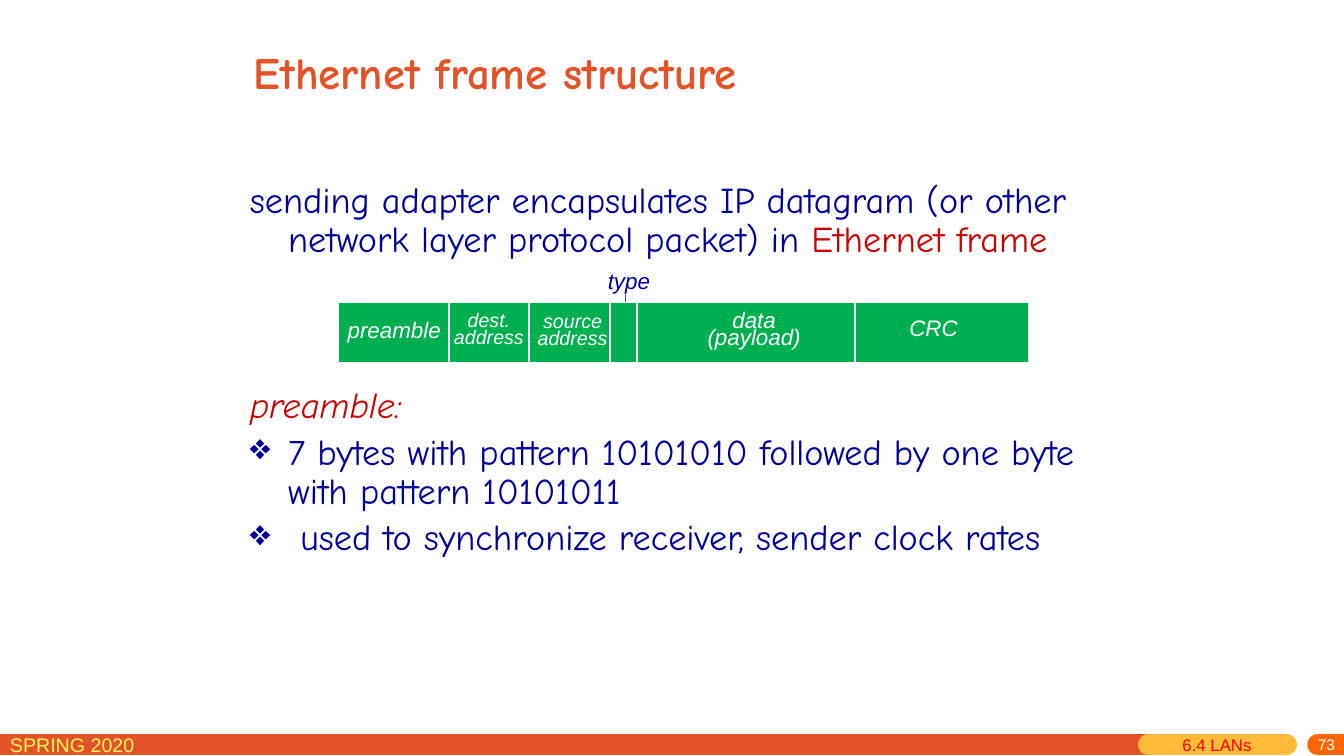
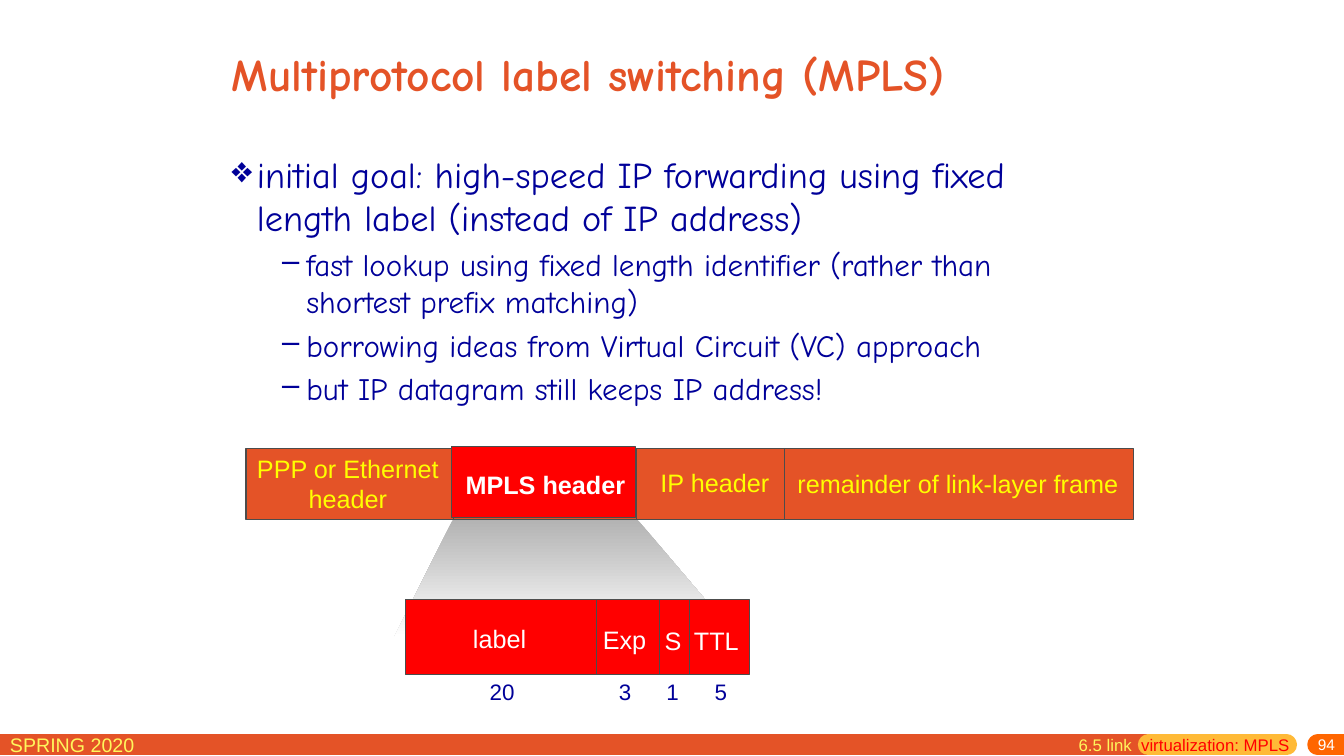
"""Build two networking slides: Ethernet frame structure and MPLS."""
import dataclasses

import lxml.etree
import pptx
import pptx.dml.color
import pptx.enum.shapes
import pptx.enum.text
import pptx.oxml.ns
import pptx.util

Inches, Pt = pptx.util.Inches, pptx.util.Pt
qn = pptx.oxml.ns.qn
ALIGN = pptx.enum.text.PP_ALIGN
ANCHOR = pptx.enum.text.MSO_ANCHOR
FIT = pptx.enum.text.MSO_AUTO_SIZE
SHAPE = pptx.enum.shapes.MSO_SHAPE
CONNECTOR = pptx.enum.shapes.MSO_CONNECTOR


@dataclasses.dataclass(frozen=True)
class Theme:
    orange: str = "E45327"
    amber: str = "FFBA37"
    badge: str = "FF6600"
    lemon: str = "FFF65C"
    yellow: str = "FFFF00"
    navy: str = "000099"
    crimson: str = "CC0000"
    red: str = "FF0000"
    green: str = "00B050"
    grey: str = "4C4C4C"
    silver: str = "B2B2B2"
    white: str = "FFFFFF"
    heading_font: str = "Comic Neue"
    label_font: str = "Arial"
    title_size: float = 32
    long_title_size: float = 32.4
    body_size: float = 25.9
    sub_size: float = 22.2
    cell_size: float = 18
    label_size: float = 16
    small_size: float = 14
    footer_size: float = 12
    number_size: float = 11
    thin: float = 0.75
    divider: float = 1.5
    band: float = 15


THEME = Theme()

BAND_Y = 7.39
BANDS = [(-0.18, 11.39, THEME.orange), (11.39, 12.76, THEME.amber), (13.07, 13.6, THEME.badge)]
TERM = "SPRING 2020"

ETHERNET = {
    "title": ("Ethernet frame structure", (2.42, 0.38, 8.5, 0.67), THEME.title_size),
    "number": "73",
    "footer": [("6.4 LANs", 11.63, 1.1, THEME.red)],
    "body_at": (2.38, 1.76, 8.5, 4.75),
    "line_spacing": 0.9,
    "body": [
        ("hanging", [("sending adapter encapsulates IP datagram (or other network layer protocol packet) in ", {}),
                     ("Ethernet frame", {"color": THEME.crimson})]),
        ("after_frame", [("preamble:", {"color": THEME.crimson, "italic": True})]),
        ("wide_bullet", [("7 bytes with pattern 10101010 followed by one byte with pattern 10101011", {})]),
        ("wide_bullet", [(" used to synchronize receiver, sender clock rates", {})]),
    ],
}
FRAME = (3.36, 3, 6.84, 0.6)
FRAME_DIVIDERS = [4.45, 5.25, 6.05, 6.32, 8.48]
FIELD_WIDTH = 1.5
FRAME_FIELDS = [
    (["preamble"], 3.91, 3.19, THEME.label_size),
    (["dest.", "address"], 4.85, 3.07, THEME.small_size),
    (["source", "address"], 5.68, 3.08, THEME.small_size),
    (["data", "(payload)"], 7.48, 3.09, THEME.label_size),
    (["CRC"], 9.26, 3.17, THEME.label_size),
]
TYPE_LABEL = ("type", (5.93, 2.6, 0.84, 0.37))
TYPE_POINTER = (6.2, 2.92, 6.2, 3.14)

MPLS = {
    "title": ("Multiprotocol label switching (MPLS)", (2.2, 0.21, 8.5, 1.03), THEME.long_title_size),
    "number": "94",
    "footer": [("6.5 link", 10.6, 0.8, THEME.lemon), ("virtualization: MPLS", 11.22, 1.74, THEME.red)],
    "body_at": (2.2, 1.46, 8.5, 2.93),
    "line_spacing": 1.0,
    "body": [
        ("bullet", [("initial goal: high-speed IP forwarding using fixed length label (instead of IP address)", {})]),
        ("dash", [("fast lookup using fixed length identifier (rather than shortest prefix matching)", {})]),
        ("dash", [("borrowing ideas from Virtual Circuit (VC) approach", {})]),
        ("dash", [("but IP datagram still keeps IP address!", {})]),
    ],
}
PACKET = (2.44, 4.45, 8.8, 0.7)
PACKET_DIVIDERS = [4.5, 6.31, 7.78]
PACKET_FIELDS = [
    (["PPP or Ethernet", "header"], (2.41, 4.45, 2.08, 0.7)),
    (["IP header"], (6.45, 4.59, 1.28, 0.4)),
    (["remainder of link-layer frame"], (7.81, 4.6, 3.38, 0.4)),
]
MPLS_HEADER = (4.48, 4.43, 1.82, 0.7)
MPLS_LABEL = ("MPLS header", (4.41, 4.61, 2, 0.4))
ZOOM = [(4.5, 5.14), (3.91, 6.32), (7.31, 6.32), (6.31, 5.14)]
SHIM = (4.02, 5.95, 3.41, 0.74)
SHIM_DIVIDERS = [5.92, 6.54, 6.84]
BITS_WIDTH = 0.6
SHIM_FIELDS = [
    ("label", (4.59, 6.13, 0.73, 0.4), "20", 4.98),
    ("Exp", (5.88, 6.14, 0.63, 0.4), "3", 6.2),
    ("S", (6.49, 6.15, 0.37, 0.4), "1", 6.67),
    ("TTL", (6.78, 6.15, 0.65, 0.4), "5", 7.15),
]

PARAGRAPHS = {
    "hanging": {"left": 0.38, "hang": 0.38, "before": 5.2, "size": THEME.body_size},
    "after_frame": {"left": 0.38, "hang": 0.38, "before": 90.5, "size": THEME.body_size},
    "wide_bullet": {"left": 0.38, "hang": 0.38, "before": 5.2, "size": THEME.body_size, "mark": "❖", "scale": 100},
    "bullet": {"left": 0.25, "hang": 0.25, "before": 5.2, "size": THEME.body_size, "mark": "❖", "scale": 100},
    "dash": {"left": 0.74, "hang": 0.24, "before": 4.4, "size": THEME.sub_size, "mark": "–", "scale": 100},
}


def rgb(value):
    return pptx.dml.color.RGBColor.from_string(value)


def set_all(target, values):
    for name, value in values.items():
        setattr(target, name, value)


def add_span(para, text, size, color, font=THEME.label_font, bold=False, italic=False):
    span = para.add_run()
    span.text = text
    set_all(span.font, {"size": Pt(size), "name": font, "bold": bold, "italic": italic})
    span.font.color.rgb = rgb(color)


def add_box(page, at, wrap=True, anchor=ANCHOR.TOP, **frame_format):
    frame = page.shapes.add_textbox(*map(Inches, at)).text_frame
    fit = FIT.NONE if wrap else FIT.SHAPE_TO_FIT_TEXT
    set_all(frame, {"word_wrap": wrap, "auto_size": fit, "vertical_anchor": anchor, **frame_format})
    return frame


def add_label(page, lines, at, size, color, align=ALIGN.CENTER, spacing=None, wrap=False, **span_format):
    frame = add_box(page, at, wrap)
    for index, line in enumerate(lines):
        para = frame.add_paragraph() if index else frame.paragraphs[0]
        set_all(para, {"alignment": align, "line_spacing": spacing})
        add_span(para, line, size, color, **span_format)


def add_line(page, start_x, start_y, end_x, end_y, color, width=THEME.thin, cap="flat"):
    line = page.shapes.add_connector(
        CONNECTOR.STRAIGHT, *map(Inches, (start_x, start_y, end_x, end_y)))
    line.line.color.rgb = rgb(color)
    line.line.width = Pt(width)
    properties = line.element.spPr
    properties.find(qn("a:ln")).set("cap", cap)
    lxml.etree.SubElement(properties, qn("a:effectLst"))


def add_bar(page, at, fill, outline):
    bar = page.shapes.add_shape(SHAPE.RECTANGLE, *map(Inches, at))
    bar.shadow.inherit = False
    bar.fill.solid()
    bar.fill.fore_color.rgb = rgb(fill)
    bar.line.color.rgb = rgb(outline)
    bar.line.width = Pt(THEME.thin)


def add_dividers(page, positions, bar, color, width=THEME.thin):
    top, height = bar[1], bar[3]
    for x in positions:
        add_line(page, x, top, x, top + height, color, width)


def format_paragraph(para, style, line_spacing):
    set_all(para, {"space_before": Pt(style["before"]), "line_spacing": line_spacing})
    properties = para._p.get_or_add_pPr()
    properties.set("marL", str(Inches(style["left"])))
    properties.set("indent", str(-Inches(style["hang"])))
    if "mark" in style:
        lxml.etree.SubElement(properties, qn("a:buSzPct"), val=str(style["scale"] * 1000))
        lxml.etree.SubElement(properties, qn("a:buChar"), char=style["mark"])


def add_body(page, content):
    frame = add_box(page, content["body_at"])
    for index, (kind, spans) in enumerate(content["body"]):
        para = frame.add_paragraph() if index else frame.paragraphs[0]
        style = PARAGRAPHS[kind]
        format_paragraph(para, style, content["line_spacing"])
        for text, changes in spans:
            span_format = {"color": THEME.navy, "font": THEME.heading_font, **changes}
            add_span(para, text, style["size"], **span_format)


def add_page(deck, content):
    page = deck.slides.add_slide(deck.slide_layouts[6])
    for left, right, color in BANDS:
        add_line(page, left, BAND_Y, right, BAND_Y, color, THEME.band, "rnd")
    add_label(page, [TERM], (0, 7.22, 2.29, 0.31), THEME.small_size, THEME.lemon, ALIGN.LEFT, wrap=True)
    number = add_box(page, (10.75, 7.32, 2.59, 0.18), anchor=ANCHOR.MIDDLE,
                     margin_top=0, margin_bottom=Inches(0.05))
    number.paragraphs[0].alignment = ALIGN.RIGHT
    add_span(number.paragraphs[0], content["number"], THEME.number_size, THEME.white)
    for text, left, width, color in content["footer"]:
        add_label(page, [text], (left, 7.24, width, 0.31), THEME.footer_size, color, ALIGN.LEFT, wrap=True)
    title, at, size = content["title"]
    add_span(add_box(page, at, anchor=ANCHOR.MIDDLE).paragraphs[0], title,
             size, THEME.orange, THEME.heading_font, bold=True)
    add_body(page, content)
    return page


def draw_ethernet_frame(page):
    add_line(page, *TYPE_POINTER, THEME.grey)
    add_bar(page, FRAME, THEME.green, THEME.white)
    add_dividers(page, FRAME_DIVIDERS, FRAME, THEME.white, THEME.divider)
    for lines, centre, top, size in FRAME_FIELDS:
        at = (centre - FIELD_WIDTH / 2, top, FIELD_WIDTH, 0.1 + 0.17 * len(lines))
        add_label(page, lines, at, size, THEME.white, spacing=Pt(12), italic=True)
    text, at = TYPE_LABEL
    add_label(page, [text], at, THEME.label_size, THEME.navy, ALIGN.LEFT, wrap=True, italic=True)


def draw_zoom(page):
    corners = [(Inches(x), Inches(y)) for x, y in ZOOM]
    builder = page.shapes.build_freeform(*corners[0])
    builder.add_line_segments(corners[1:], close=True)
    zoom = builder.convert_to_shape()
    zoom.shadow.inherit = False
    zoom.line.fill.background()
    zoom.fill.gradient()
    zoom.fill.gradient_angle = 270
    for stop, position, color in zip(zoom.fill.gradient_stops, (0, 1), (THEME.silver, THEME.white)):
        stop.position = position
        stop.color.rgb = rgb(color)


def draw_mpls_packet(page):
    draw_zoom(page)
    add_bar(page, PACKET, THEME.orange, THEME.grey)
    add_dividers(page, PACKET_DIVIDERS, PACKET, THEME.grey)
    for lines, at in PACKET_FIELDS:
        add_label(page, lines, at, THEME.cell_size, THEME.yellow)
    add_bar(page, MPLS_HEADER, THEME.red, THEME.grey)
    text, at = MPLS_LABEL
    add_label(page, [text], at, THEME.cell_size, THEME.white, bold=True)
    add_bar(page, SHIM, THEME.red, THEME.grey)
    add_dividers(page, SHIM_DIVIDERS, SHIM, THEME.grey)
    for name, at, bits, centre in SHIM_FIELDS:
        add_label(page, [name], at, THEME.cell_size, THEME.white)
        bits_at = (centre - BITS_WIDTH / 2, 6.68, BITS_WIDTH, 0.37)
        add_label(page, [bits], bits_at, THEME.label_size, THEME.navy)


def main():
    deck = pptx.Presentation()
    set_all(deck, {"slide_width": Inches(13.33), "slide_height": Inches(7.5)})
    draw_ethernet_frame(add_page(deck, ETHERNET))
    draw_mpls_packet(add_page(deck, MPLS))
    deck.save("out.pptx")


if __name__ == "__main__":
    main()
